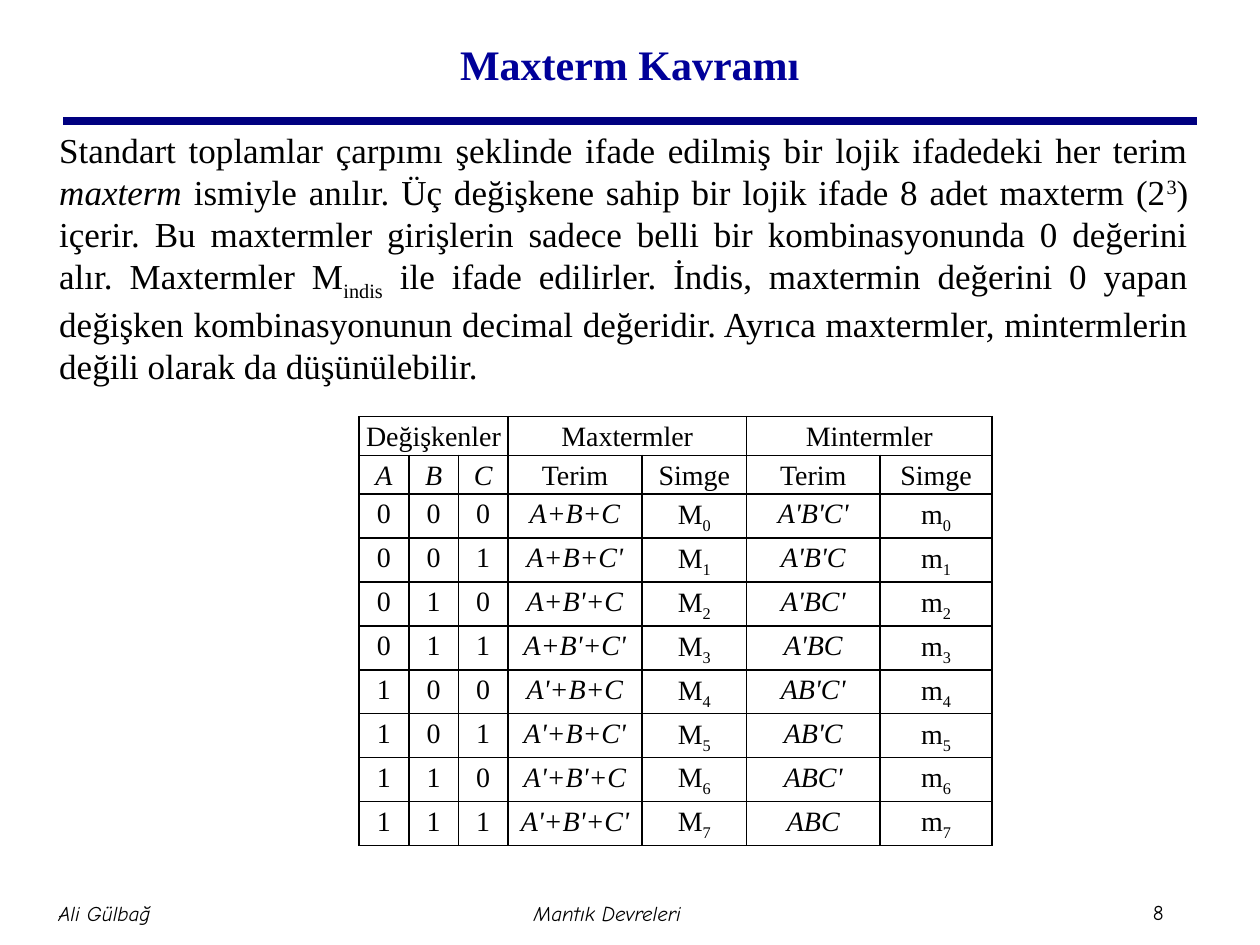
from itertools import product

from lxml.etree import SubElement
from pptx import Presentation
from pptx.dml.color import RGBColor
from pptx.enum.shapes import MSO_CONNECTOR
from pptx.enum.text import MSO_ANCHOR, MSO_AUTO_SIZE, PP_ALIGN
from pptx.oxml.ns import qn
from pptx.util import Cm, Pt

SERIF, COMIC = "Times New Roman", "Comic Neue"
BLACK, NAVY, BLUE = "000000", "000080", "000099"
ITALIC, SUPER, SUB = {"italic": True}, {"base": 30}, {"base": -25}

# Each text is a list of (words, format) runs.
TITLE = [("Maxterm Kavramı", {"bold": True})]
BODY = [
    ("Standart toplamlar çarpımı şeklinde ifade edilmiş bir lojik ifadedeki "
     "her terim ", {}),
    ("maxterm", ITALIC),
    (" ismiyle anılır. Üç değişkene sahip bir lojik ifade 8 adet maxterm (2", {}),
    ("3", SUPER),
    (") içerir. Bu maxtermler girişlerin sadece belli bir kombinasyonunda 0 "
     "değerini alır. Maxtermler M", {}),
    ("indis", SUB),
    (" ile ifade edilirler. İndis, maxtermin değerini 0 yapan değişken "
     "kombinasyonunun decimal değeridir. Ayrıca maxtermler, mintermlerin "
     "değili olarak da düşünülebilir.", {}),
]
# Left, top, width, height in cm, then alignment and runs.
FOOT = [
    ((-2.44, 17.78, 9.09, 1.27), PP_ALIGN.CENTER, [("Ali Gülbağ", ITALIC)]),
    ((7.7, 17.78, 9.09, 1.27), PP_ALIGN.CENTER, [("Mantık Devreleri", ITALIC)]),
    ((23.11, 18.01, 1.19, 0.76), PP_ALIGN.LEFT, [("8", {})]),
]
VARS = "ABC"
GROUPS = [("Değişkenler", 3), ("Maxtermler", 2), ("Mintermler", 2)]
COLS = [1.0, 1.0, 1.0, 2.7, 2.11, 2.69, 2.26]
ROW = 0.64


def color(code):
    """Turn a hex string into a colour."""
    return RGBColor.from_string(code)


def write(frame, runs, align, **font):
    """Write formatted runs into the first paragraph of a text frame."""
    para = frame.paragraphs[0]
    para.alignment = align
    hue = font.pop("hue", BLACK)
    for words, form in runs:
        run = para.add_run()
        run.text = words
        run.font.color.rgb = color(hue)
        for key, value in {**font, **form}.items():
            if key == "base":
                run._r.get_or_add_rPr().set("baseline", str(value * 1000))
            else:
                setattr(run.font, key, value)
    return para


def place(shape, box):
    """Move and size a shape, in cm."""
    for key, value in zip(("left", "top", "width", "height"), box):
        setattr(shape, key, Cm(value))


def inset(item, side, edge):
    """Set the margins of a cell or text frame, in cm."""
    for name, size in (("left", side), ("right", side),
                       ("top", edge), ("bottom", edge)):
        setattr(item, "margin_" + name, Cm(size))


def border(cell):
    """Draw a thin black line on all four sides of a cell."""
    props = cell._tc.get_or_add_tcPr()
    for side in ("lnL", "lnR", "lnT", "lnB"):
        line = SubElement(props, qn("a:" + side), w=str(Pt(1)))
        fill = SubElement(line, qn("a:solidFill"))
        SubElement(fill, qn("a:srgbClr"), val=BLACK)


def terms(index, bits):
    """Give the truth table row of one combination of the variables."""
    most = "+".join(v + "'" * b for v, b in zip(VARS, bits))
    least = "".join(v + "'" * (1 - b) for v, b in zip(VARS, bits))
    low = (str(index), SUB)
    return [[(str(b), {})] for b in bits] + [
        [(most, ITALIC)], [("M", {}), low],
        [(least, ITALIC)], [("m", {}), low]]


def heads():
    """Give the two heading rows, with gaps for merged cells."""
    top = []
    for name, span in GROUPS:
        top += [[(name, {})]] + [[]] * (span - 1)
    names = [[(v, ITALIC)] for v in VARS]
    return [top, names + [[("Terim", {})], [("Simge", {})]] * 2]


def grid(slide):
    """Build the table of maxterms and minterms."""
    combos = product((0, 1), repeat=len(VARS))
    rows = heads() + [terms(i, bits) for i, bits in enumerate(combos)]
    table = slide.shapes.add_table(
        len(rows), len(COLS), Cm(7.24), Cm(8.4),
        Cm(sum(COLS)), Cm(ROW * len(rows))).table
    table.first_row = table.horz_banding = False
    for col, width in zip(table.columns, COLS):
        col.width = Cm(width)
    for r, row in enumerate(rows):
        table.rows[r].height = Cm(ROW)
        for c, runs in enumerate(row):
            cell = table.cell(r, c)
            border(cell)
            cell.fill.background()
            inset(cell, 0.13, 0)
            para = write(cell.text_frame, runs, PP_ALIGN.CENTER,
                         name=SERIF, size=Pt(16))
            para.line_spacing, para.space_before = 1.15, Pt(6)
    start = 0
    for _, span in GROUPS:
        table.cell(0, start).merge(table.cell(0, start + span - 1))
        start += span


def rule(slide):
    """Draw the thick line under the title."""
    line = slide.shapes.add_connector(
        MSO_CONNECTOR.STRAIGHT, Cm(1.27), Cm(2.44), Cm(24.13), Cm(2.44))
    line.line.color.rgb = color(NAVY)
    line.line.width = Pt(4.5)
    SubElement(line._element.spPr, qn("a:effectLst"))


def main():
    """Build and save the slide."""
    deck = Presentation()
    deck.slide_width, deck.slide_height = Cm(25.4), Cm(19.05)
    slide = deck.slides.add_slide(deck.slide_layouts[1])
    rule(slide)

    title, body = slide.placeholders
    place(title, (1.9, 0.2, 21.59, 2.18))
    title.text_frame.vertical_anchor = MSO_ANCHOR.MIDDLE
    write(title.text_frame, TITLE, PP_ALIGN.CENTER,
          name=SERIF, size=Pt(24), hue=BLUE)
    place(body, (0.94, 2.46, 23.27, 14.1))
    para = write(body.text_frame, BODY, PP_ALIGN.JUSTIFY,
                 name=SERIF, size=Pt(20))
    props = para._p.get_or_add_pPr()
    props.set("marL", "0")
    props.set("indent", "0")
    SubElement(props, qn("a:buNone"))
    for shape in (title, body):
        shape.text_frame.auto_size = MSO_AUTO_SIZE.NONE

    for box, align, runs in FOOT:
        frame = slide.shapes.add_textbox(*map(Cm, box)).text_frame
        frame.word_wrap = True
        frame.vertical_anchor = MSO_ANCHOR.MIDDLE
        inset(frame, 0.13, 0.13)
        write(frame, runs, align, name=COMIC, size=Pt(12))
    grid(slide)
    deck.save("out.pptx")


main()
